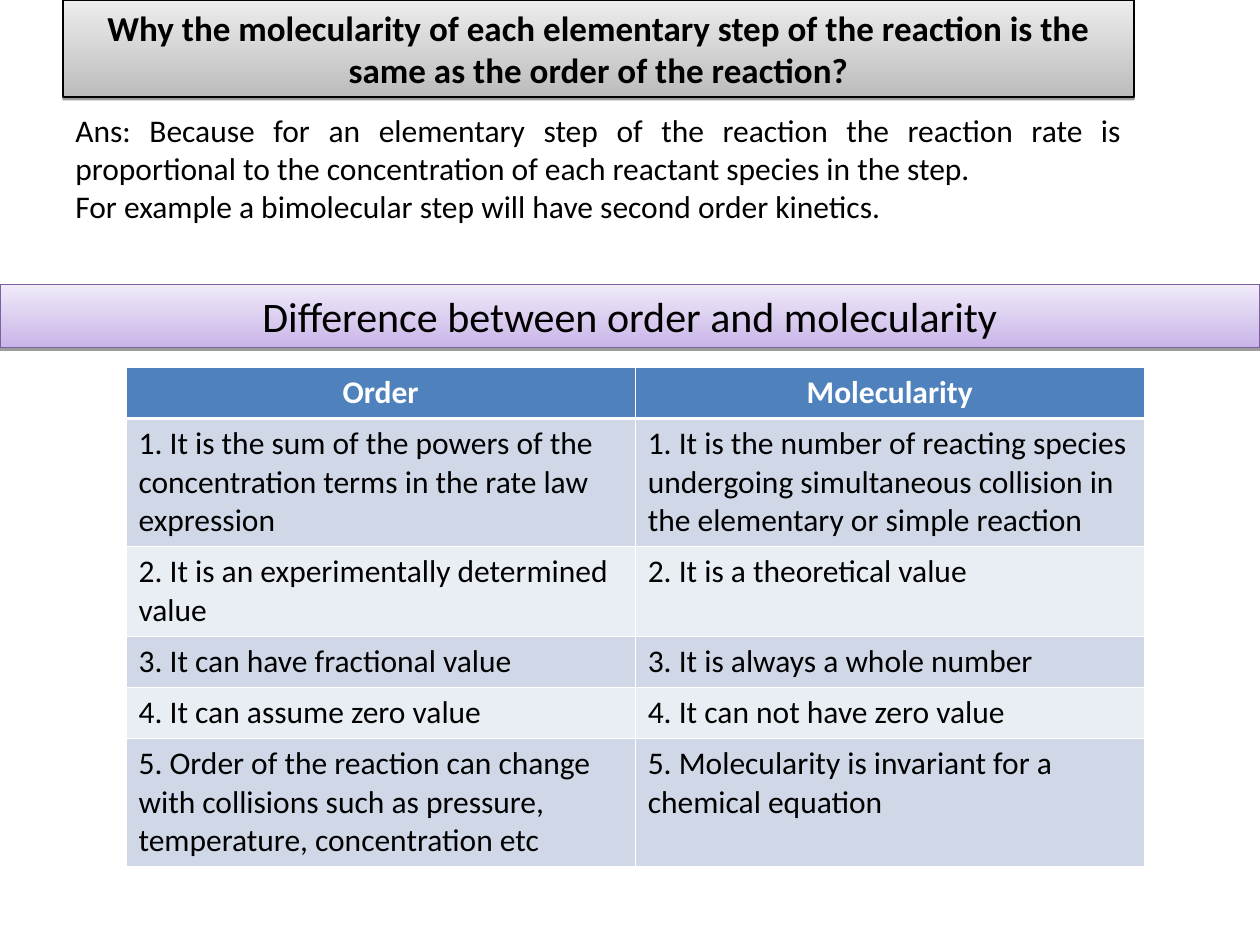
from lxml import etree
from pptx import Presentation
from pptx.dml.color import RGBColor
from pptx.enum.shapes import MSO_SHAPE
from pptx.enum.text import MSO_ANCHOR, MSO_AUTO_SIZE, PP_ALIGN
from pptx.oxml.ns import qn
from pptx.util import Pt

RECT = MSO_SHAPE.RECTANGLE
TOP = MSO_ANCHOR.TOP
NO_AUTOFIT = MSO_AUTO_SIZE.NONE
LEFT, CENTER, JUSTIFY = PP_ALIGN.LEFT, PP_ALIGN.CENTER, PP_ALIGN.JUSTIFY

FONT = "Calibri"
COLORS = {
    "black": "000000",
    "white": "FFFFFF",
    "gray_dark": "BCBCBC",
    "gray_light": "EDEDED",
    "purple_dark": "C9B5E8",
    "purple_light": "F0EAF9",
    "purple_line": "7D60A0",
    "header": "4F81BD",
    "band_dark": "D0D8E8",
    "band_light": "E9EDF4",
}
ROWS = [
    ("Order", "Molecularity"),
    ("1. It is the sum of the powers of the concentration terms in the rate law expression",
     "1. It is the number of reacting species undergoing simultaneous collision in the "
     "elementary or simple reaction"),
    ("2. It is an experimentally determined value", "2. It is a theoretical value"),
    ("3. It can have fractional value", "3. It is always a whole number"),
    ("4. It can assume zero value", "4. It can not have zero value"),
    ("5. Order of the reaction can change with collisions such as pressure, temperature, "
     "concentration etc",
     "5. Molecularity is invariant for a chemical equation"),
]
ROW_HEIGHTS = [28.8, 72, 50.4, 28.8, 28.8, 72]


def rgb(name):
    return RGBColor.from_string(COLORS[name])


def write(tf, text, size=18, color="black", bold=False, align=LEFT):
    tf.word_wrap = True
    tf.auto_size = NO_AUTOFIT
    tf.vertical_anchor = TOP
    for i, line in enumerate(text.split("\n")):
        p = tf.paragraphs[0] if i == 0 else tf.add_paragraph()
        p.alignment = align
        r = p.add_run()
        r.text = line
        r.font.name = FONT
        r.font.size = Pt(size)
        r.font.bold = bold
        r.font.color.rgb = rgb(color)


def place(sp, left, top, width, height):
    sp.left, sp.top, sp.width, sp.height = Pt(left), Pt(top), Pt(width), Pt(height)


def style_banner(sp, dark, light, line):
    sp.fill.gradient()
    sp.fill.gradient_angle = 90
    for stop, color in zip(sp.fill.gradient_stops, (dark, light)):
        stop.color.rgb = rgb(color)
    sp.line.color.rgb = rgb(line)
    sp.line.width = Pt(0.75)
    sp.shadow.inherit = False
    effects = sp.element.spPr.find(qn("a:effectLst"))
    shadow = etree.SubElement(effects, qn("a:outerShdw"), blurRad="0",
                              dist=str(Pt(1.6)), dir="5400000", rotWithShape="0")
    color = etree.SubElement(shadow, qn("a:srgbClr"), val=COLORS["black"])
    etree.SubElement(color, qn("a:alpha"), val="38000")


def add_border(cell, side, width):
    ln = etree.SubElement(cell._tc.get_or_add_tcPr(), qn("a:ln" + side), w=str(Pt(width)))
    fill = etree.SubElement(ln, qn("a:solidFill"))
    etree.SubElement(fill, qn("a:srgbClr"), val=COLORS["white"])


def fill_cell(cell, text, row):
    header = row == 0
    for side in "LRTB":
        thick = (row, side) in ((0, "B"), (1, "T"))
        add_border(cell, side, 1.47 if thick else 0.45)
    cell.fill.solid()
    band = "band_dark" if row % 2 else "band_light"
    cell.fill.fore_color.rgb = rgb("header" if header else band)
    write(cell.text_frame, text, color="white" if header else "black",
          bold=header, align=CENTER if header else LEFT)


def add_comparison(s, left, top, width):
    frame = s.shapes.add_table(len(ROWS), 2, Pt(left), Pt(top),
                               Pt(width), Pt(sum(ROW_HEIGHTS)))
    table = frame.table
    for i, (texts, height) in enumerate(zip(ROWS, ROW_HEIGHTS)):
        table.rows[i].height = Pt(height)
        for j, text in enumerate(texts):
            fill_cell(table.cell(i, j), text, i)


def main():
    prs = Presentation()
    prs.slide_width, prs.slide_height = Pt(720), Pt(540)
    s = prs.slides.add_slide(prs.slide_layouts[5])

    title = s.shapes.title
    place(title, 36, 0, 612, 55.4)
    style_banner(title, "gray_dark", "gray_light", "black")
    write(title.text_frame, "Why the molecularity of each elementary step of the reaction "
          "is the same as the order of the reaction?", size=20, bold=True, align=CENTER)

    answer = s.shapes.add_textbox(Pt(36), Pt(60), Pt(612), Pt(72))
    write(answer.text_frame, "Ans: Because for an elementary step of the reaction the reaction "
          "rate is proportional to the concentration of each reactant species in the step.\n"
          "For example a bimolecular step will have second order kinetics.", align=JUSTIFY)

    banner = s.shapes.add_shape(RECT, Pt(0), Pt(162.6), Pt(720), Pt(36))
    style_banner(banner, "purple_dark", "purple_light", "purple_line")
    write(banner.text_frame, "Difference between order and molecularity", size=24, align=CENTER)

    add_comparison(s, 72, 210, 582)
    prs.save("out.pptx")


if __name__ == "__main__":
    main()
